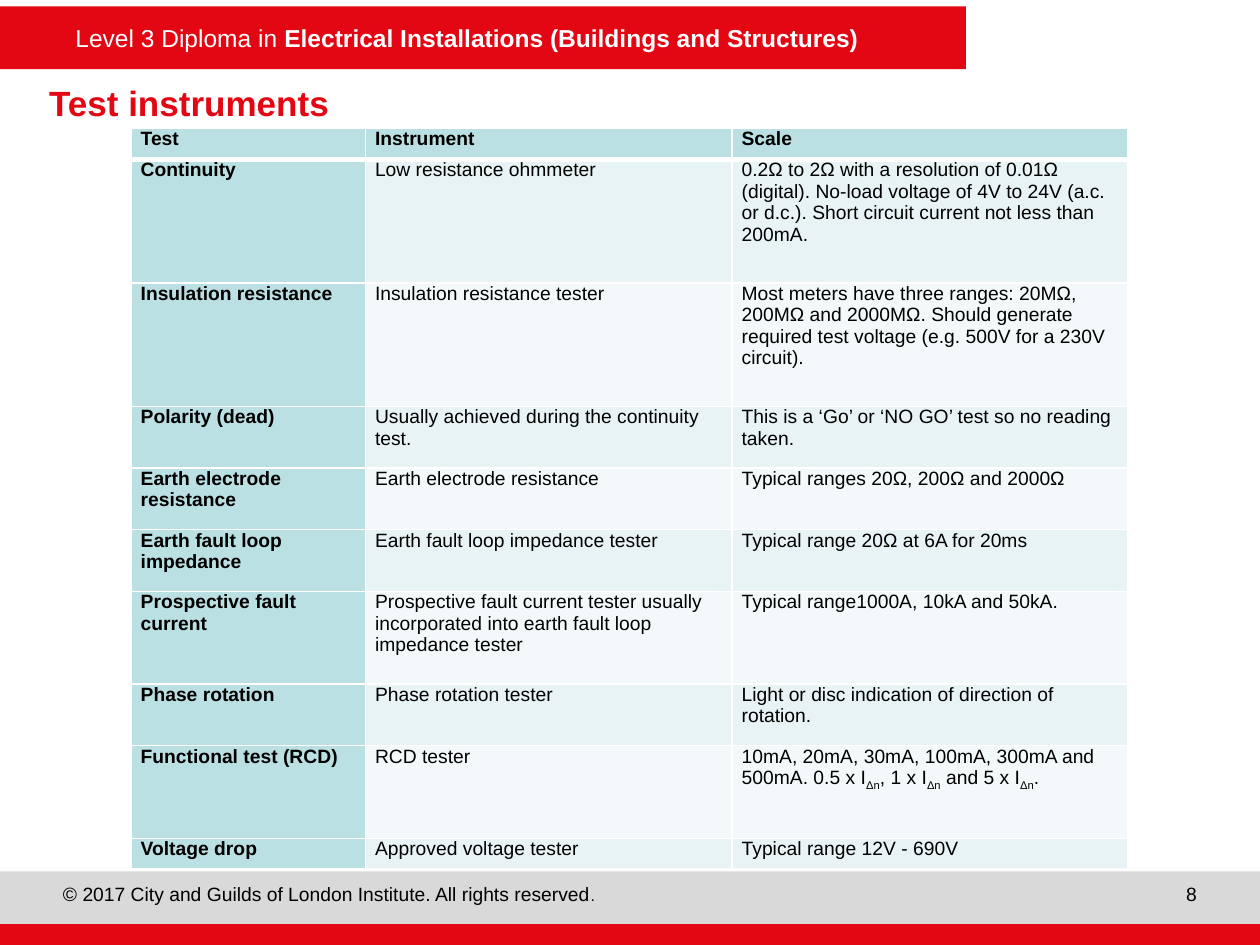
from lxml.etree import SubElement
from pptx import Presentation
from pptx.dml.color import RGBColor
from pptx.enum.shapes import MSO_SHAPE
from pptx.enum.text import MSO_ANCHOR, MSO_AUTO_SIZE, PP_ALIGN
from pptx.oxml.ns import qn
from pptx.util import Pt

RED = RGBColor(0xE3, 0x06, 0x13)
GREY = RGBColor(0xD9, 0xD9, 0xD9)
WHITE = RGBColor(0xFF, 0xFF, 0xFF)
BLACK = RGBColor(0, 0, 0)
TEAL = RGBColor(0xBB, 0xE0, 0xE3)
PALE_BANDS = (RGBColor(0xF3, 0xF9, 0xFA), RGBColor(0xE7, 0xF3, 0xF4))

FONT = "Arial"
ROW_UNIT = 17.64
COLUMN_WIDTHS = (133.92, 209.52, 226.08)
ROW_UNITS = (1, 4, 4, 2, 2, 2, 3, 2, 3, 1)
SUBSCRIPT = "Δn"

TESTS = [
    ("Test", "Instrument", "Scale"),
    ("Continuity", "Low resistance ohmmeter",
     "0.2Ω to 2Ω with a resolution of 0.01Ω (digital). No‑load voltage of 4V to "
     "24V (a.c. or d.c.). Short circuit current not less than 200mA."),
    ("Insulation resistance", "Insulation resistance tester",
     "Most meters have three ranges: 20MΩ, 200MΩ and 2000MΩ. Should generate "
     "required test voltage (e.g. 500V for a 230V circuit)."),
    ("Polarity (dead)", "Usually achieved during the continuity test.",
     "This is a ‘Go’ or ‘NO GO’ test so no reading taken."),
    ("Earth electrode resistance", "Earth electrode resistance",
     "Typical ranges 20Ω, 200Ω and 2000Ω"),
    ("Earth fault loop impedance", "Earth fault loop impedance tester",
     "Typical range 20Ω at 6A for 20ms"),
    ("Prospective fault current",
     "Prospective fault current tester usually incorporated into earth fault loop "
     "impedance tester",
     "Typical range1000A, 10kA and 50kA."),
    ("Phase rotation", "Phase rotation tester",
     "Light or disc indication of direction of rotation."),
    ("Functional test (RCD)", "RCD tester",
     "10mA, 20mA, 30mA, 100mA, 300mA and 500mA. "
     "0.5 x IΔn, 1 x IΔn and 5 x IΔn."),
    ("Voltage drop", "Approved voltage tester", "Typical range 12V - 690V"),
]


def style_font(font, size, color, bold=None):
    font.name = FONT
    font.size = Pt(size)
    font.color.rgb = color
    font.bold = bold


def set_margins(area, horizontal, vertical):
    area.margin_left = area.margin_right = Pt(horizontal)
    area.margin_top = area.margin_bottom = Pt(vertical)


def add_band(slide, left, top, width, height, color):
    band = slide.shapes.add_shape(
        MSO_SHAPE.RECTANGLE, Pt(left), Pt(top), Pt(width), Pt(height))
    band.shadow.inherit = False
    band.fill.solid()
    band.fill.fore_color.rgb = color
    band.line.fill.background()


def add_line_of_text(slide, left, top, width, height, texts, size, color, margins):
    frame = slide.shapes.add_textbox(
        Pt(left), Pt(top), Pt(width), Pt(height)).text_frame
    frame.word_wrap = True
    set_margins(frame, *margins)
    line = frame.paragraphs[0]
    for text in texts:
        line.add_run().text = text
    style_font(line.font, size, color)
    return line


def add_title(slide, text):
    title = slide.shapes.title
    title.left, title.top, title.width, title.height = Pt(0), Pt(43.2), Pt(720), Pt(30.24)
    frame = title.text_frame
    frame.text = text
    frame.word_wrap = True
    frame.auto_size = MSO_AUTO_SIZE.NONE
    frame.vertical_anchor = MSO_ANCHOR.MIDDLE
    set_margins(frame, 28.08, 3.6)
    heading = frame.paragraphs[0]
    heading.alignment = PP_ALIGN.LEFT
    style_font(heading.font, 20, RED, True)


def set_borders(cell, top, bottom):
    properties = cell._tc.get_or_add_tcPr()
    widths = {"a:lnL": 1, "a:lnR": 1, "a:lnT": top, "a:lnB": bottom}
    for side, width in widths.items():
        border = SubElement(properties, qn(side), w=str(Pt(width)))
        fill = SubElement(border, qn("a:solidFill"))
        SubElement(fill, qn("a:srgbClr"), val=str(WHITE))


def write_cell(cell, text, bold):
    set_margins(cell, 5.4, 0)
    line = cell.text_frame.paragraphs[0]
    for index, part in enumerate(text.split(SUBSCRIPT)):
        if index:
            subscript = line.add_run()
            subscript.text = SUBSCRIPT
            subscript.font._element.set("baseline", "-25000")
        line.add_run().text = part
    style_font(line.font, 11, BLACK, bold)


def add_tests_table(slide):
    table = slide.shapes.add_table(
        len(TESTS), len(COLUMN_WIDTHS), Pt(75), Pt(73.44),
        Pt(sum(COLUMN_WIDTHS)), Pt(ROW_UNIT * sum(ROW_UNITS))).table
    table.horz_banding = False
    for column, width in zip(table.columns, COLUMN_WIDTHS):
        column.width = Pt(width)
    for row_index, (row, units, texts) in enumerate(zip(table.rows, ROW_UNITS, TESTS)):
        row.height = Pt(ROW_UNIT * units)
        for column_index, (cell, text) in enumerate(zip(row.cells, texts)):
            is_heading = row_index == 0 or column_index == 0
            write_cell(cell, text, is_heading)
            set_borders(cell, 3 if row_index == 1 else 1, 3 if row_index == 0 else 1)
            cell.fill.solid()
            cell.fill.fore_color.rgb = TEAL if is_heading else PALE_BANDS[row_index % 2]


def main():
    presentation = Presentation()
    presentation.slide_width, presentation.slide_height = Pt(720), Pt(540)
    slide = presentation.slides.add_slide(presentation.slide_layouts[5])

    add_band(slide, 0, 3.6, 552, 36, RED)
    add_band(slide, 0, 498, 720, 30, GREY)
    add_band(slide, 0, 528, 720, 12, RED)

    course = add_line_of_text(
        slide, 36, 9.4, 480, 24.5,
        ("Level 3 Diploma in", " Electrical Installations (Buildings and Structures)"),
        14, WHITE, (7.2, 3.6))
    course.runs[1].font.bold = True

    rights = add_line_of_text(
        slide, 36, 504, 510, 18,
        ("© 2017 City and Guilds of London Institute. All rights reserved", "."),
        11, BLACK, (0, 0))
    rights.runs[1].font.size = Pt(9)

    page_number = add_line_of_text(slide, 570, 504, 114, 18, ("8",), 11, BLACK, (0, 0))
    page_number.alignment = PP_ALIGN.RIGHT

    add_title(slide, "Test instruments")
    add_tests_table(slide)
    presentation.save("out.pptx")


if __name__ == "__main__":
    main()
